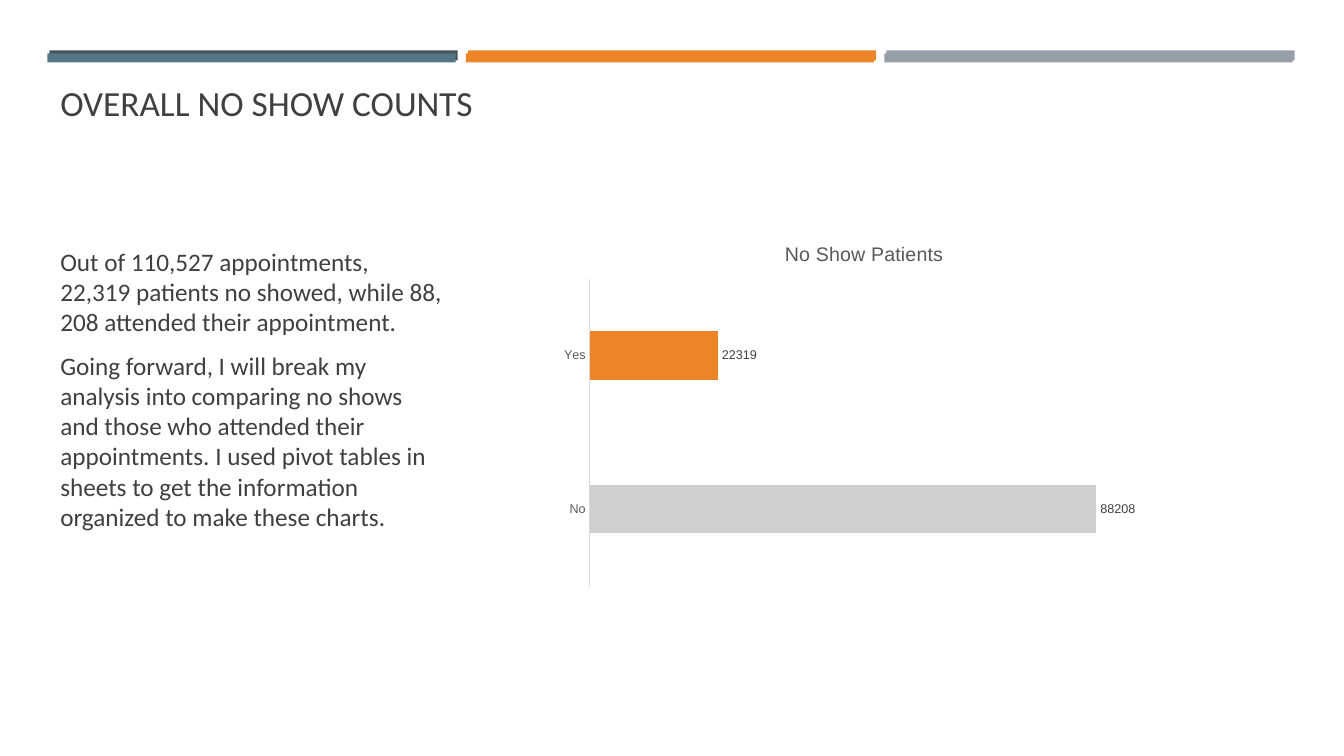
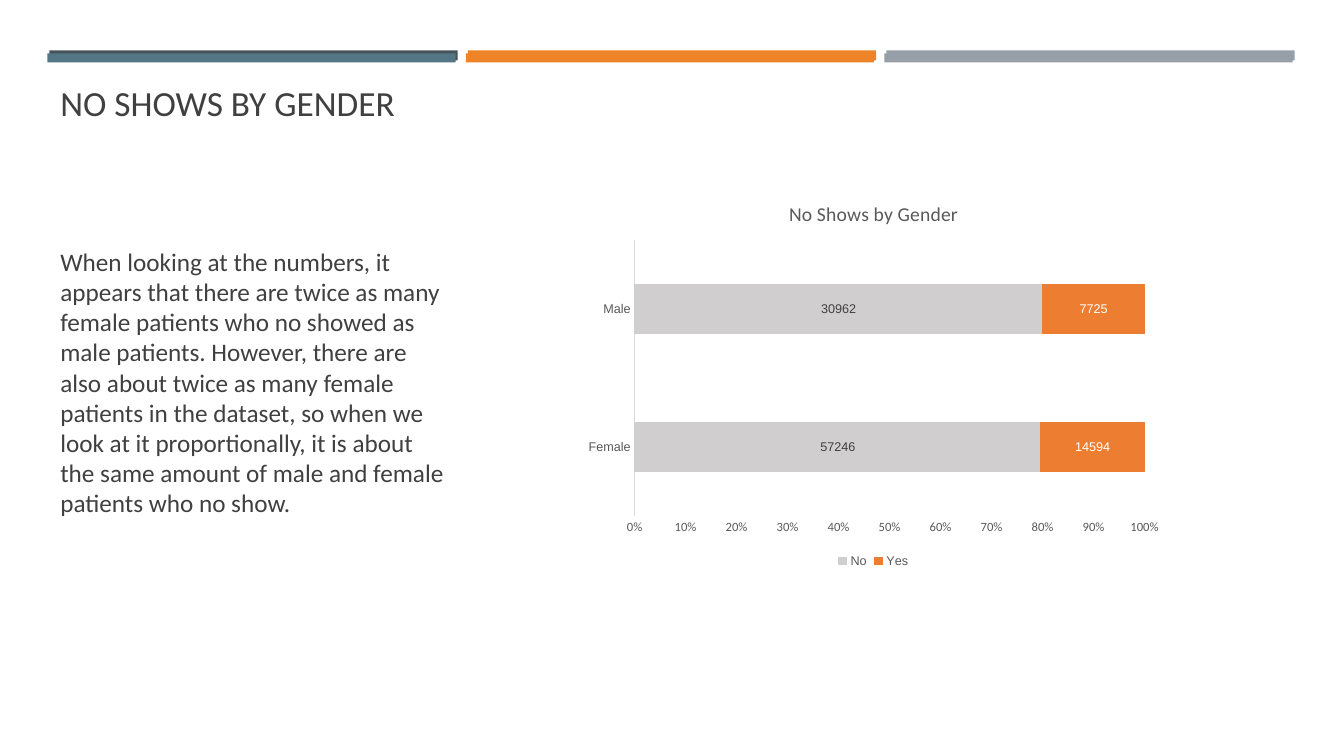
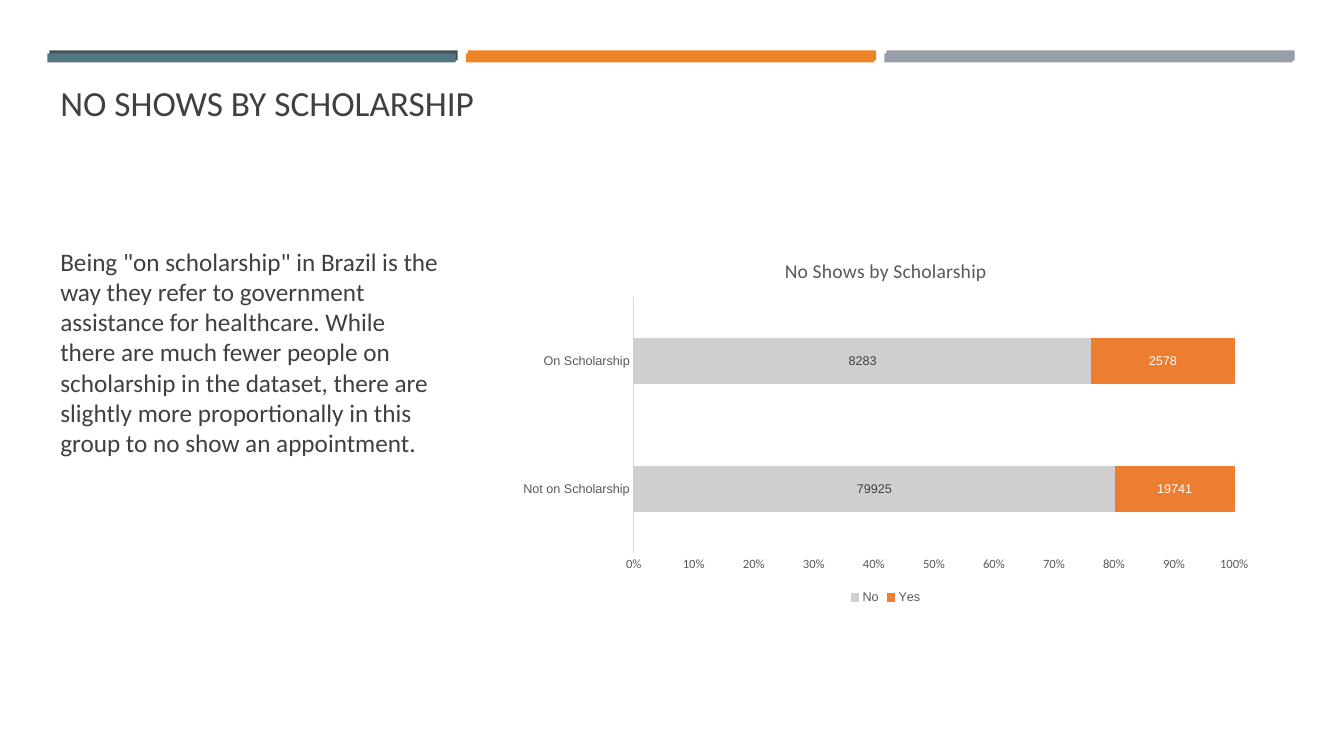
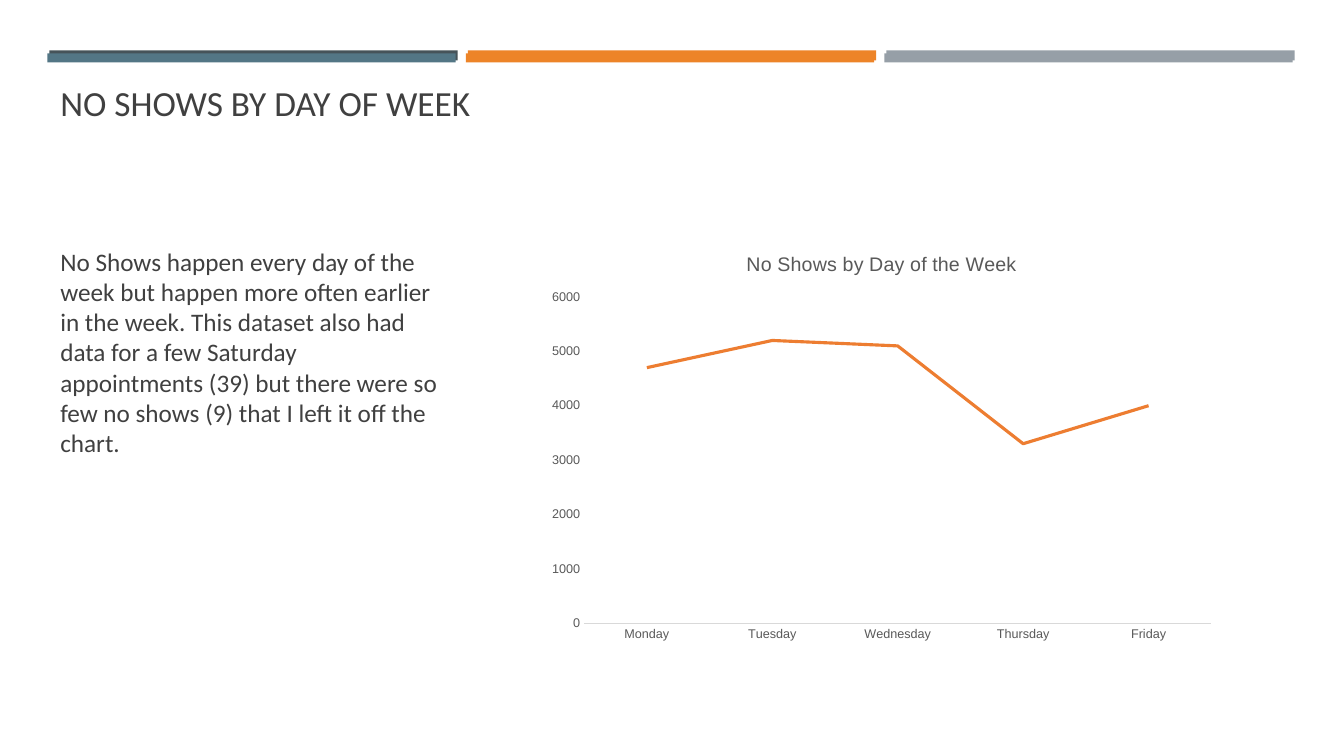
"""Four slides on missed appointments, each with a text and a chart."""
from pptx import Presentation
from pptx.chart.data import CategoryChartData
from pptx.dml.color import RGBColor
from pptx.enum.chart import XL_CHART_TYPE, XL_LABEL_POSITION, XL_LEGEND_POSITION, XL_MARKER_STYLE, XL_TICK_MARK
from pptx.enum.shapes import MSO_SHAPE
from pptx.enum.text import MSO_ANCHOR
from pptx.util import Emu, Pt

PX = 9144
INK, GREY, AXIS, WHITE = "404040", "595959", "D9D9D9", "FFFFFF"
SILVER, AMBER, ORANGE = "D0CECE", "ED8428", "ED7D31"
BACK_BANDS = ["465359", AMBER, "969FA7"]
FRONT_BANDS = ["537685", AMBER, "969FA7"]
BAND_W, BAND_STEP = 405, 415


def px(*lengths):
    """Turn pixel lengths into EMU."""
    return [Emu(n * PX) for n in lengths]


def rgb(color):
    """Turn a hex string into a colour."""
    return RGBColor.from_string(color)


def paint(fill, color):
    """Give a fill one solid colour."""
    fill.solid()
    fill.fore_color.rgb = rgb(color)


def style(font, size, color, name="Arial"):
    """Set the size, colour and typeface of a font."""
    font.size, font.name, font.bold = Pt(size), name, False
    font.color.rgb = rgb(color)


def outline(line, color, width=0.75):
    """Give a line its colour and width."""
    line.color.rgb = rgb(color)
    line.width = Pt(width)


def add_bands(s, left, top, height, colors):
    """Draw a row of equally spaced bands."""
    for i, color in enumerate(colors):
        sp = s.shapes.add_shape(MSO_SHAPE.RECTANGLE, *px(left + i * BAND_STEP, top, BAND_W, height))
        sp.shadow.inherit = False
        paint(sp.fill, color)
        sp.line.fill.background()


def add_text(s, box, paragraphs, size, anchor=MSO_ANCHOR.TOP):
    """Write paragraphs in a wrapping text box."""
    tf = s.shapes.add_textbox(*px(*box)).text_frame
    tf.word_wrap = True
    tf.vertical_anchor = anchor
    for i, text in enumerate(paragraphs):
        p = tf.add_paragraph() if i else tf.paragraphs[0]
        p.text = text
        p.space_before = Pt(size / 5 if i else 0)
        p.space_after = Pt(6)
        for r in p.runs:
            style(r.font, size, INK, "Calibri")


def add_slide(prs, title, paragraphs):
    """Add a slide with the bands, a title and the body text."""
    s = prs.slides.add_slide(prs.slide_layouts[6])
    add_bands(s, 49, 50, 10, BACK_BANDS)
    add_bands(s, 47, 53, 9, FRONT_BANDS)
    add_text(s, (50, 76, 1232, 52), [title], 25.2, MSO_ANCHOR.BOTTOM)
    add_text(s, (50, 239, 400, 397), paragraphs, 18)
    return s


def add_chart(s, kind, box, title, cats, series, title_font="Arial"):
    """Add a titled chart with plain axes."""
    data = CategoryChartData()
    data.categories = cats
    for name, values in series:
        data.add_series(name, values)
    chart = s.shapes.add_chart(kind, *px(*box), data).chart
    style(chart.font, 10, "000000", "Calibri")
    chart.has_legend = False
    chart.has_title = True
    chart.chart_title.include_in_layout = False
    p = chart.chart_title.text_frame.paragraphs[0]
    p.text = title
    style(p.runs[0].font, 14, GREY, title_font)
    for axis in (chart.category_axis, chart.value_axis):
        axis.major_tick_mark = axis.minor_tick_mark = XL_TICK_MARK.NONE
        axis.has_major_gridlines = False
        style(axis.tick_labels.font, 9, GREY)
    outline(chart.category_axis.format.line, AXIS)
    chart.value_axis.format.line.fill.background()
    return chart


def add_labels(series, color, position):
    """Show the values of a series."""
    labels = series.data_labels
    labels.show_value = True
    labels.position = position
    style(labels.font, 9, color)


def add_count_chart(s, box, title, cats, values):
    """Add a bar chart with the first bar muted."""
    chart = add_chart(s, XL_CHART_TYPE.BAR_CLUSTERED, box, title, cats, [("Series 1", values)])
    chart.value_axis.visible = False
    plot = chart.plots[0]
    plot.gap_width, plot.vary_by_categories = 219, False
    bars = plot.series[0]
    paint(bars.format.fill, AMBER)
    paint(bars.points[0].format.fill, SILVER)
    add_labels(bars, INK, XL_LABEL_POSITION.OUTSIDE_END)


def add_share_chart(s, box, title, cats, no, yes):
    """Add a stacked chart of the shares of No and Yes."""
    chart = add_chart(s, XL_CHART_TYPE.BAR_STACKED_100, box, title, cats, [("No", no), ("Yes", yes)], "Calibri")
    ticks = chart.value_axis.tick_labels
    ticks.font.name = "Calibri"
    ticks.number_format, ticks.number_format_is_linked = "0%", False
    chart.has_legend = True
    chart.legend.position = XL_LEGEND_POSITION.BOTTOM
    chart.legend.include_in_layout = False
    style(chart.legend.font, 9, GREY)
    plot = chart.plots[0]
    plot.gap_width, plot.overlap, plot.vary_by_categories = 182, 100, False
    for bars, color, ink in zip(plot.series, (SILVER, ORANGE), (INK, WHITE)):
        paint(bars.format.fill, color)
        outline(bars.format.line, color)
        add_labels(bars, ink, XL_LABEL_POSITION.CENTER)


def add_line_chart(s, box, title, cats, values):
    """Add a line chart without markers."""
    chart = add_chart(s, XL_CHART_TYPE.LINE, box, title, cats, [("Series 1", values)])
    plot = chart.plots[0]
    plot.vary_by_categories = False
    line = plot.series[0]
    line.smooth = False
    line.marker.style = XL_MARKER_STYLE.NONE
    outline(line.format.line, ORANGE, 2.25)


def main():
    """Build and save the presentation."""
    prs = Presentation()
    prs.slide_width, prs.slide_height = px(1333, 750)

    s = add_slide(prs, "OVERALL NO SHOW COUNTS", [
        "Out of 110,527 appointments, 22,319 patients no showed, while 88, 208 attended their appointment.",
        "Going forward, I will break my analysis into comparing no shows and those who attended their "
        "appointments. I used pivot tables in sheets to get the information organized to make these charts.",
    ])
    add_count_chart(s, (547, 223, 620, 366), "No Show Patients", ["No", "Yes"], [88208, 22319])

    s = add_slide(prs, "NO SHOWS BY GENDER", [
        "When looking at the numbers, it appears that there are twice as many female patients who no showed "
        "as male patients. However, there are also about twice as many female patients in the dataset, so when "
        "we look at it proportionally, it is about the same amount of male and female patients who no show.",
    ])
    add_share_chart(s, (572, 182, 589, 386), "No Shows by Gender", ["Female", "Male"],
                    [57246, 30962], [14594, 7725])

    s = add_slide(prs, "NO SHOWS BY SCHOLARSHIP", [
        'Being "on scholarship" in Brazil is the way they refer to government assistance for healthcare. '
        "While there are much fewer people on scholarship in the dataset, there are slightly more "
        "proportionally in this group to no show an appointment.",
    ])
    add_share_chart(s, (504, 239, 749, 365), "No Shows by Scholarship", ["Not on Scholarship", "On Scholarship"],
                    [79925, 8283], [19741, 2578])

    s = add_slide(prs, "NO SHOWS BY DAY OF WEEK", [
        "No Shows happen every day of the week but happen more often earlier in the week. This dataset also had "
        "data for a few Saturday appointments (39) but there were so few no shows (9) that I left it off the chart.",
    ])
    add_line_chart(s, (534, 232, 681, 413), "No Shows by Day of the Week",
                   ["Monday", "Tuesday", "Wednesday", "Thursday", "Friday"], [4700, 5200, 5100, 3300, 4000])

    prs.save("out.pptx")


if __name__ == "__main__":
    main()
